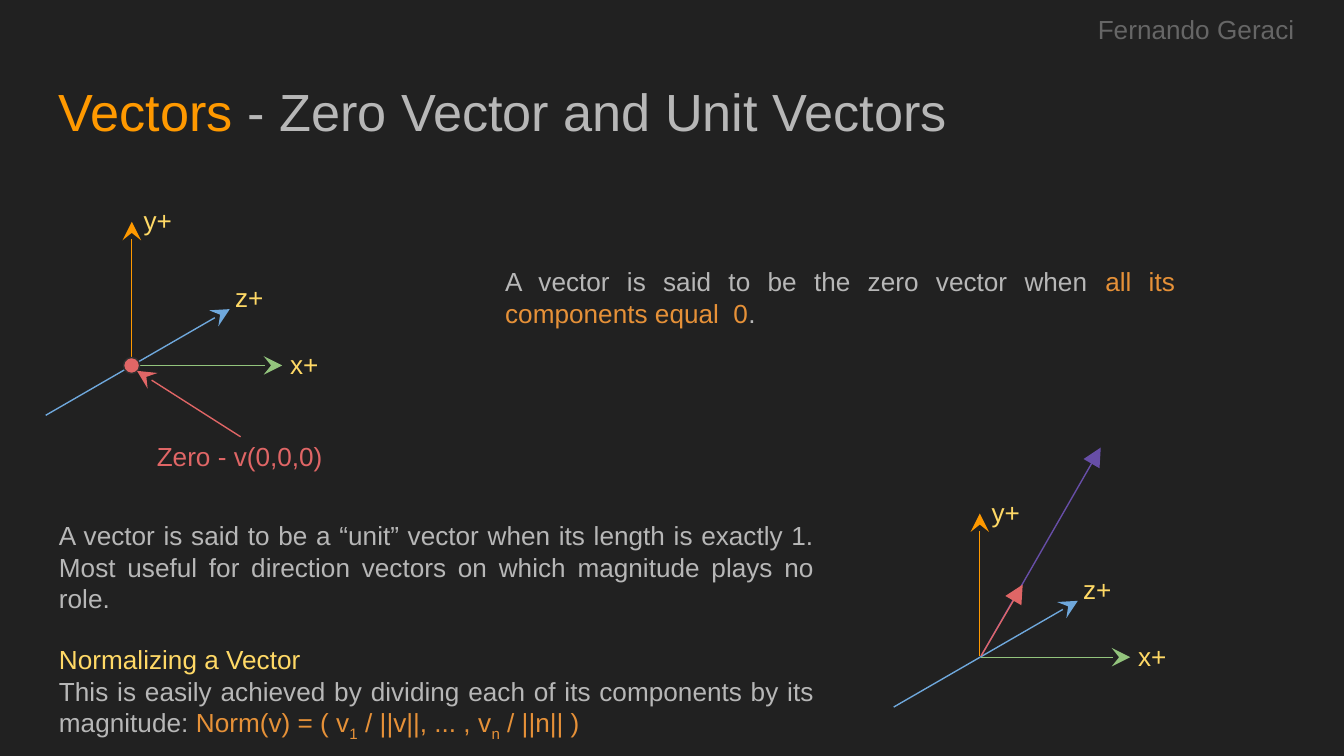
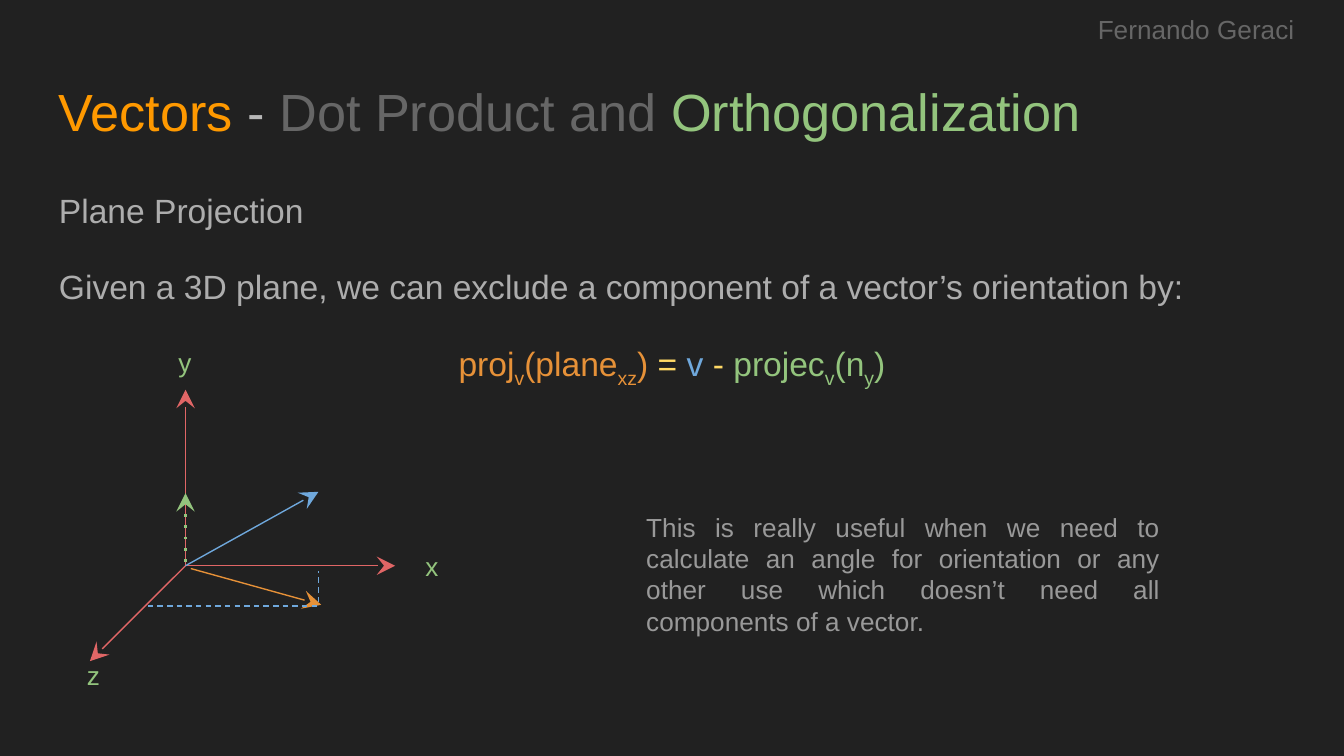
from dataclasses import dataclass
from typing import Any, NamedTuple, Optional

from lxml import etree
from pptx import Presentation
from pptx import util as u
from pptx.dml.color import RGBColor
from pptx.enum import shapes, text
from pptx.oxml import ns
from pptx.slide import Slide


@dataclass(frozen=True)
class Theme:
    font: str = "Arial"
    background: str = "212121"
    light: str = "B7B7B7"
    body: str = "ADADAD"
    soft: str = "999999"
    muted: str = "666666"
    outline: str = "303030"
    amber: str = "FF9900"
    orange: str = "E69138"
    yellow: str = "FFD966"
    green: str = "93C47D"
    blue: str = "6FA8DC"
    red: str = "E06666"
    purple: str = "674EA7"
    title_size: float = 28
    body_size: float = 18
    note_size: float = 14
    inset: float = 7.2
    thin: float = 0.75
    thick: float = 1.5


THEME = Theme()
LEFT, CENTER, JUSTIFY = (
    text.PP_ALIGN.LEFT, text.PP_ALIGN.CENTER, text.PP_ALIGN.JUSTIFY)
TOP, MIDDLE = text.MSO_ANCHOR.TOP, text.MSO_ANCHOR.MIDDLE


class Point(NamedTuple):
    x: float
    y: float

    def shifted(self, dx: float, dy: float) -> "Point":
        return Point(self.x + dx, self.y + dy)


class Box(NamedTuple):
    left: float
    top: float
    width: float
    height: float


class Run(NamedTuple):
    words: str
    color: str
    subscript: bool = False


@dataclass(frozen=True)
class Para:
    runs: list[Run]
    align: Any = JUSTIFY
    before: float = 0
    after: float = 0
    spacing: float = 1.0


@dataclass(frozen=True)
class Line:
    start: Point
    end: Point
    color: str
    head: Optional[str] = "stealth"
    dash: Optional[str] = None
    width: float = THEME.thin


@dataclass(frozen=True)
class Axis:
    name: str
    start: Point
    tip: Point
    label: Point
    color: str


TITLE_BOX = Box(24.5, 35.3, 671, 45.4)
AUTHOR_BOX = Box(561.6, 0, 158.4, 33.1)
AXES = [
    Axis("y+", Point(0, 0), Point(0, -76.3), Point(-4.4, -89.3), THEME.amber),
    Axis("z+", Point(-46.1, 27.4), Point(52.5, -29.5), Point(44.6, -48.2), THEME.blue),
    Axis("x+", Point(0.7, 0.7), Point(80.6, 0.7), Point(74.1, -12.2), THEME.green),
]


def set_format(target: Any, values: dict[str, Any]) -> None:
    for name, value in values.items():
        setattr(target, name, value)


def add_text(slide: Slide, box: Box, paras: list[Para],
             size: float = THEME.note_size, anchor: Any = MIDDLE) -> None:
    frame = slide.shapes.add_textbox(*map(u.Pt, box)).text_frame
    margins = {f"margin_{side}": u.Pt(THEME.inset)
               for side in ("left", "right", "top", "bottom")}
    set_format(frame, {"word_wrap": True, "vertical_anchor": anchor, **margins})
    for index, para in enumerate(paras):
        paragraph = frame.add_paragraph() if index else frame.paragraphs[0]
        set_format(paragraph, {
            "alignment": para.align, "line_spacing": para.spacing,
            "space_before": u.Pt(para.before), "space_after": u.Pt(para.after)})
        for part in para.runs:
            run = paragraph.add_run()
            run.text = part.words
            set_format(run.font, {"name": THEME.font, "size": u.Pt(size)})
            run.font.color.rgb = RGBColor.from_string(part.color)
            if part.subscript:
                run._r.get_or_add_rPr().set("baseline", "-25000")


def add_label(slide: Slide, box: Box, words: str, color: str) -> None:
    add_text(slide, box, [Para([Run(words, color)], CENTER)])


def add_line(slide: Slide, line: Line) -> None:
    connector = slide.shapes.add_connector(
        shapes.MSO_CONNECTOR.STRAIGHT, *map(u.Pt, (*line.start, *line.end)))
    connector.line.width = u.Pt(line.width)
    connector.line.color.rgb = RGBColor.from_string(line.color)
    outline = connector.line._get_or_add_ln()
    if line.dash:
        etree.SubElement(outline, ns.qn("a:prstDash"), val=line.dash)
    if line.head:
        etree.SubElement(outline, ns.qn("a:tailEnd"), type=line.head, w="lg", len="lg")
    etree.SubElement(connector._element.spPr, ns.qn("a:effectLst"))


def add_axes(slide: Slide, origin: Point) -> None:
    for axis in AXES:
        add_line(slide, Line(origin.shifted(*axis.start), origin.shifted(*axis.tip), axis.color))
    for axis in AXES:
        add_label(slide, Box(*origin.shifted(*axis.label), 36.7, 24.5), axis.name, THEME.yellow)


def add_dot(slide: Slide, box: Box) -> None:
    shape = slide.shapes.add_shape(shapes.MSO_SHAPE.OVAL, *map(u.Pt, box))
    shape.shadow.inherit = False
    shape.fill.solid()
    shape.fill.fore_color.rgb = RGBColor.from_string(THEME.red)
    shape.line.color.rgb = RGBColor.from_string(THEME.outline)
    shape.line.width = u.Pt(THEME.thin)


def start_slide(presentation: Any, title: list[Run]) -> Slide:
    slide = presentation.slides.add_slide(presentation.slide_layouts[6])
    slide.background.fill.solid()
    slide.background.fill.fore_color.rgb = RGBColor.from_string(THEME.background)
    heading = [Run("Vectors ", THEME.amber), *title]
    add_text(slide, TITLE_BOX, [Para(heading, LEFT)], THEME.title_size, TOP)
    author = Para([Run("Fernando Geraci", THEME.muted)], CENTER)
    add_text(slide, AUTHOR_BOX, [author], anchor=TOP)
    return slide


def build_unit_vectors(presentation: Any) -> None:
    slide = start_slide(presentation, [Run("- Zero Vector and Unit Vectors", THEME.light)])
    add_axes(slide, Point(70.6, 195.1))
    add_dot(slide, Box(66.2, 191.5, 8.6, 8.6))
    add_line(slide, Line(Point(128.9, 234), Point(73.4, 198.7), THEME.red))
    add_label(slide, Box(72, 234, 113, 20.2), "Zero - v(0,0,0)", THEME.red)
    add_text(slide, Box(263.5, 120.2, 373, 77.8), [Para([
        Run("A vector is said to be the zero vector when ", THEME.light),
        Run("all its components equal  0", THEME.orange),
        Run(".", THEME.light)])])

    origin = Point(524.9, 351.4)
    add_axes(slide, origin)
    for tip, color in ((Point(589.7, 239.8), THEME.purple),
                       (Point(547.9, 313.2), THEME.red)):
        add_line(slide, Line(origin.shifted(0.7, 0), tip, color, "triangle"))
    add_text(slide, Box(24.5, 278.6, 419, 118.8), [
        Para([Run("A vector is said to be a “unit” vector when its length is exactly 1. "
                  "Most useful for direction vectors on which magnitude plays no role.",
                  THEME.light)]),
        Para([Run("Normalizing a Vector", THEME.yellow)], before=16.1),
        Para([Run("This is easily achieved by dividing each of its components "
                  "by its magnitude: ", THEME.light),
              Run("Norm(v) = ( v", THEME.orange),
              Run("1", THEME.orange, True),
              Run(" / ||v||, ... , v", THEME.orange),
              Run("n", THEME.orange, True),
              Run(" / ||n|| )", THEME.orange)])])


def build_plane_projection(presentation: Any) -> None:
    slide = start_slide(presentation, [
        Run("- ", THEME.light), Run("Dot Product and ", THEME.muted),
        Run("Orthogonalization", THEME.green)])
    formula = [
        Run("proj", THEME.orange), Run("v", THEME.orange, True),
        Run("(plane", THEME.orange), Run("xz", THEME.orange, True),
        Run(")", THEME.orange), Run(" = ", THEME.yellow),
        Run("v", THEME.blue), Run(" - ", THEME.yellow),
        Run("projec", THEME.green), Run("v", THEME.green, True),
        Run("(n", THEME.green), Run("y", THEME.green, True), Run(")", THEME.green)]
    statement = "Given a 3D plane, we can exclude a component of a vector’s orientation by:"
    rows = [([Run("Plane Projection", THEME.body)], LEFT),
            ([Run(statement, THEME.body)], LEFT),
            (formula, CENTER)]
    add_text(slide, Box(24.5, 91.4, 671, 269.3),
             [Para(runs, align, after=16, spacing=1.15) for runs, align in rows],
             THEME.body_size, TOP)

    origin = Point(99.4, 303.1)
    corner = Point(170.6, 324.7)
    for tip in (Point(99.4, 208.8), Point(48.2, 354.2), Point(211.7, 303.1)):
        add_line(slide, Line(origin, tip, THEME.red))
    for line in (
        Line(origin, Point(170.6, 263.5), THEME.blue),
        Line(Point(102.2, 304.6), Point(172.1, 324), THEME.orange),
        Line(corner.shifted(0, -2.1), Point(170.6, 306), THEME.blue, None, "dash"),
        Line(Point(79.2, 324.7), corner, THEME.blue, None, "dash"),
        Line(Point(99.4, 301), Point(99.4, 264.2), THEME.green,
             dash="dot", width=THEME.thick),
    ):
        add_line(slide, line)
    for name, left, top in (("x", 213.8, 288.7), ("y", 81.4, 179.3), ("z", 32.4, 347)):
        add_label(slide, Box(left, top, 35.3, 29.5), name, THEME.green)
    add_text(slide, Box(339.1, 230.4, 289.4, 154.1), [Para([Run(
        "This is really useful when we need to calculate an angle for orientation "
        "or any other use which doesn’t need all components of a vector.", THEME.soft)])])


def main() -> None:
    presentation = Presentation()
    set_format(presentation, {"slide_width": u.Pt(720), "slide_height": u.Pt(405)})
    build_unit_vectors(presentation)
    build_plane_projection(presentation)
    presentation.save("out.pptx")


main()
